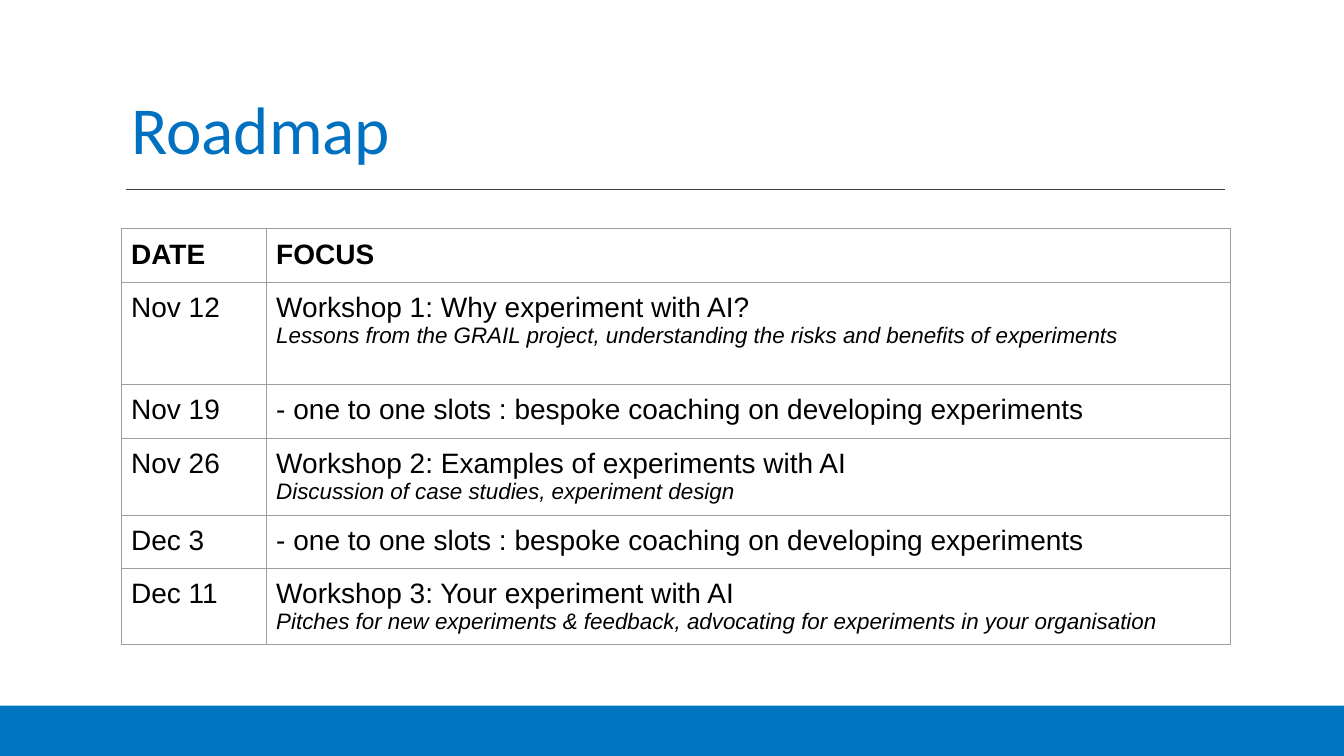
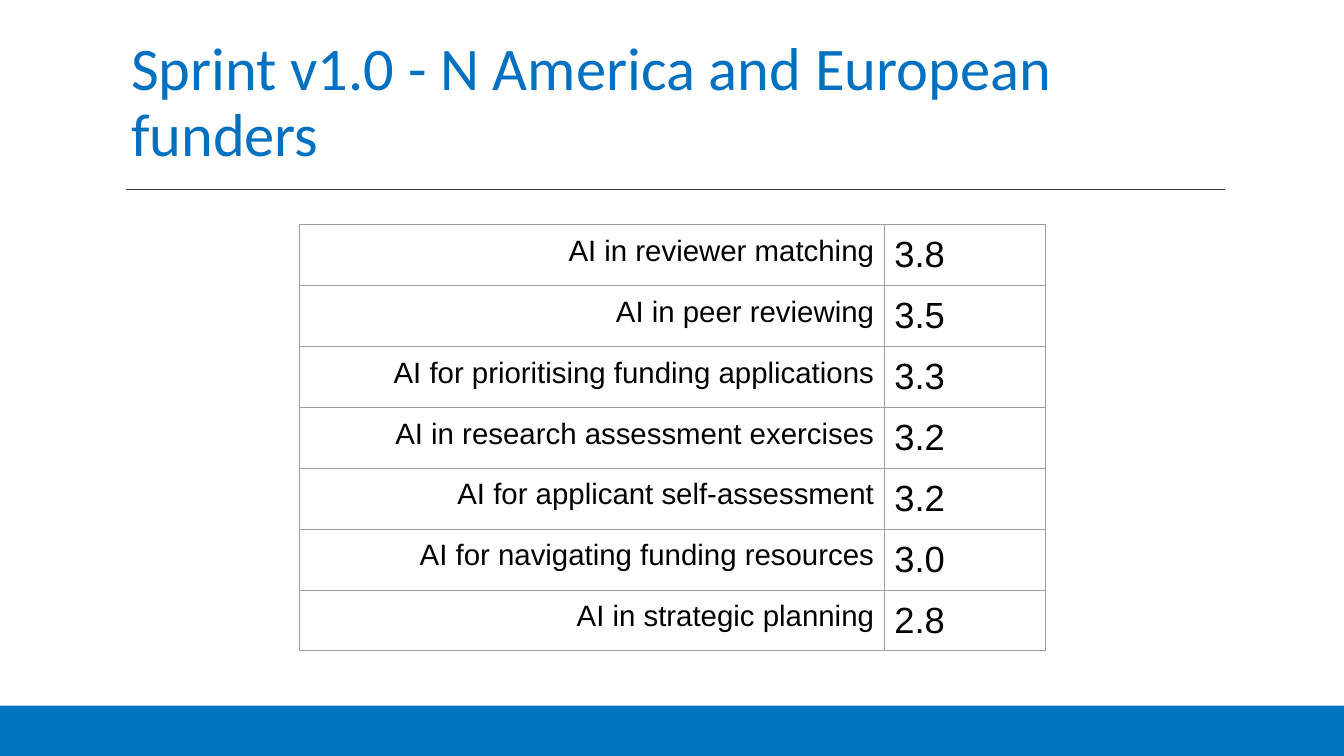
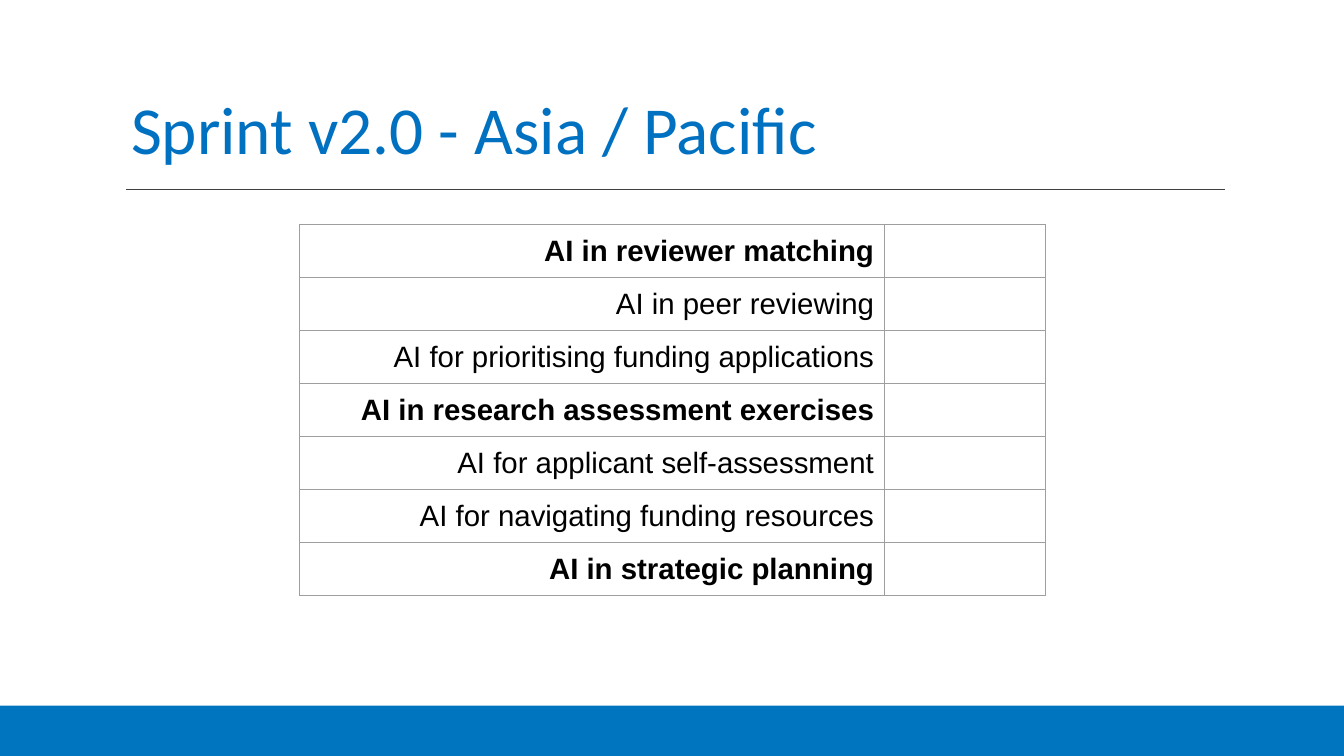
import dataclasses
import typing

import lxml.etree
import pptx
import pptx.dml.color
import pptx.enum.shapes
import pptx.enum.text
import pptx.oxml.ns
import pptx.presentation
import pptx.shapes.base
import pptx.slide
import pptx.table
import pptx.util

EMU_PER_PX = 9144  # 100 px to the inch
SLIDE_WIDTH, SLIDE_HEIGHT = 1333, 750
BAND_HEIGHT = 50
CELL_MARGIN = 10
TITLE_ONLY = 5

COLOURS = {
    "title": "0070C0",
    "band": "0075BF",
    "rule": "3F3F3F",
    "border": "9E9E9E",
    "text": "000000",
}
ALIGN = pptx.enum.text.PP_ALIGN


@dataclasses.dataclass(frozen=True)
class Line:
    """One paragraph of a table cell."""
    text: str
    size: int
    bold: bool = False
    italic: bool = False
    align: ALIGN = ALIGN.LEFT


Cell = list[Line]


@dataclasses.dataclass(frozen=True)
class Grid:
    left: int
    top: int
    widths: list[int]
    heights: list[int]
    rows: list[list[Cell]]


@dataclasses.dataclass(frozen=True)
class Page:
    title: str
    grid: Grid
    title_size: float = 48


def px(length: int) -> pptx.util.Emu:
    return pptx.util.Emu(length * EMU_PER_PX)


def rgb(name: str) -> pptx.dml.color.RGBColor:
    return pptx.dml.color.RGBColor.from_string(COLOURS[name])


# Content
def session(date: str, focus: str, detail: str = "", bold: bool = False) -> list[Cell]:
    lines = [Line(focus, 20, bold)]
    if detail:
        lines.append(Line(detail, 16, italic=True))
    return [[Line(date, 20, bold)], lines]


COACHING = "- one to one slots : bespoke coaching on developing experiments"
SESSIONS = [
    session("DATE", "FOCUS", bold=True),
    session("Nov 12", "Workshop 1: Why experiment with AI?",
            "Lessons from the GRAIL project, understanding the risks and benefits of experiments"),
    session("Nov 19", COACHING),
    session("Nov 26", "Workshop 2: Examples of experiments with AI",
            "Discussion of case studies, experiment design"),
    session("Dec 3", COACHING),
    session("Dec 11", "Workshop 3: Your experiment with AI",
            "Pitches for new experiments & feedback, advocating for experiments in your organisation"),
]

SCORES = {
    "AI in reviewer matching": "3.8",
    "AI in peer reviewing": "3.5",
    "AI for prioritising funding applications": "3.3",
    "AI in research assessment exercises": "3.2",
    "AI for applicant self-assessment": "3.2",
    "AI for navigating funding resources": "3.0",
    "AI in strategic planning": "2.8",
}
PRIORITIES = {
    "AI in reviewer matching",
    "AI in research assessment exercises",
    "AI in strategic planning",
}


def topic(name: str, bold: bool = False) -> Cell:
    return [Line(name, 21, bold, align=ALIGN.RIGHT)]


def sprint_grid(row_height: int, rows: list[list[Cell]]) -> Grid:
    return Grid(297, 223, [580, 160], [row_height] * len(rows), rows)


PAGES = [
    Page("Roadmap", Grid(120, 227, [144, 956], [53, 101, 54, 76, 53, 75], SESSIONS)),
    Page("Sprint v1.0 - N America and European funders",
         sprint_grid(60, [[topic(name), [Line(score, 26)]] for name, score in SCORES.items()]),
         title_size=43.2),
    Page("Sprint v2.0 - Asia / Pacific",
         sprint_grid(52, [[topic(name, name in PRIORITIES), []] for name in SCORES])),
]


# Shared layout: title position, rule and bottom band
def move_to_layout(shape: pptx.shapes.base.BaseShape, layout: pptx.slide.SlideLayout) -> None:
    new_id = max(other.shape_id for other in layout.shapes) + 1
    shape.element.xpath(".//p:cNvPr")[0].set("id", str(new_id))
    layout.shapes.element.append(shape.element)


def furnish_layout(layout: pptx.slide.SlideLayout, slide: pptx.slide.Slide) -> None:
    title = layout.placeholders[0]
    title.left, title.top, title.width, title.height = map(px, (120, 70, 1100, 103))

    rule = slide.shapes.add_connector(
        pptx.enum.shapes.MSO_CONNECTOR.STRAIGHT, px(125), px(188), px(1215), px(188))
    rule.line.color.rgb = rgb("rule")
    rule.line.width = pptx.util.Pt(1)
    lxml.etree.SubElement(rule.element.spPr, pptx.oxml.ns.qn("a:effectLst"))
    move_to_layout(rule, layout)

    band = slide.shapes.add_shape(
        pptx.enum.shapes.MSO_SHAPE.RECTANGLE, px(0), px(SLIDE_HEIGHT - BAND_HEIGHT),
        px(SLIDE_WIDTH), px(BAND_HEIGHT))
    band.shadow.inherit = False
    band.fill.solid()
    band.fill.fore_color.rgb = rgb("band")
    band.line.fill.background()
    move_to_layout(band, layout)


# Slide parts
def write_title(slide: pptx.slide.Slide, text: str, size: float) -> None:
    frame = slide.shapes.title.text_frame
    frame.text = text
    frame.word_wrap = True
    frame.auto_size = pptx.enum.text.MSO_AUTO_SIZE.NONE
    frame.vertical_anchor = pptx.enum.text.MSO_ANCHOR.BOTTOM
    heading = frame.paragraphs[0]
    heading.alignment = ALIGN.LEFT
    heading.line_spacing = 0.9
    heading.font.name = "Calibri"
    heading.font.size = pptx.util.Pt(size)
    heading.font.color.rgb = rgb("title")


def add_borders(cell: pptx.table._Cell) -> None:
    properties = cell._tc.get_or_add_tcPr()
    for side in ("a:lnL", "a:lnR", "a:lnT", "a:lnB"):
        border = lxml.etree.SubElement(
            properties, pptx.oxml.ns.qn(side), w=str(pptx.util.Pt(0.75)))
        fill = lxml.etree.SubElement(border, pptx.oxml.ns.qn("a:solidFill"))
        lxml.etree.SubElement(fill, pptx.oxml.ns.qn("a:srgbClr"), val=COLOURS["border"])


def fill_cell(cell: pptx.table._Cell, lines: Cell) -> None:
    add_borders(cell)
    cell.fill.background()
    cell.margin_left = cell.margin_right = px(CELL_MARGIN)
    cell.margin_top = cell.margin_bottom = px(CELL_MARGIN)
    cell.text = "\n".join(line.text for line in lines)
    for paragraph, line in zip(cell.text_frame.paragraphs, lines):
        paragraph.alignment = line.align
        paragraph.font.name = "Arial"
        paragraph.font.size = pptx.util.Pt(line.size)
        paragraph.font.bold = line.bold
        paragraph.font.italic = line.italic
        paragraph.font.color.rgb = rgb("text")


def add_grid(slide: pptx.slide.Slide, grid: Grid) -> None:
    table = slide.shapes.add_table(
        len(grid.rows), len(grid.widths), px(grid.left), px(grid.top),
        px(sum(grid.widths)), px(sum(grid.heights))).table
    table.first_row = table.horz_banding = False
    for column, width in zip(table.columns, grid.widths):
        column.width = px(width)
    for row, height, contents in zip(table.rows, grid.heights, grid.rows):
        row.height = px(height)
        for cell, lines in zip(row.cells, contents):
            fill_cell(cell, lines)


def add_page(deck: pptx.presentation.Presentation, page: Page) -> pptx.slide.Slide:
    slide = deck.slides.add_slide(deck.slide_layouts[TITLE_ONLY])
    write_title(slide, page.title, page.title_size)
    add_grid(slide, page.grid)
    return slide


def main() -> None:
    deck = pptx.Presentation()
    deck.slide_width, deck.slide_height = px(SLIDE_WIDTH), px(SLIDE_HEIGHT)
    slides: typing.Final = [add_page(deck, page) for page in PAGES]
    furnish_layout(deck.slide_layouts[TITLE_ONLY], slides[0])
    deck.save("out.pptx")


if __name__ == "__main__":
    main()
